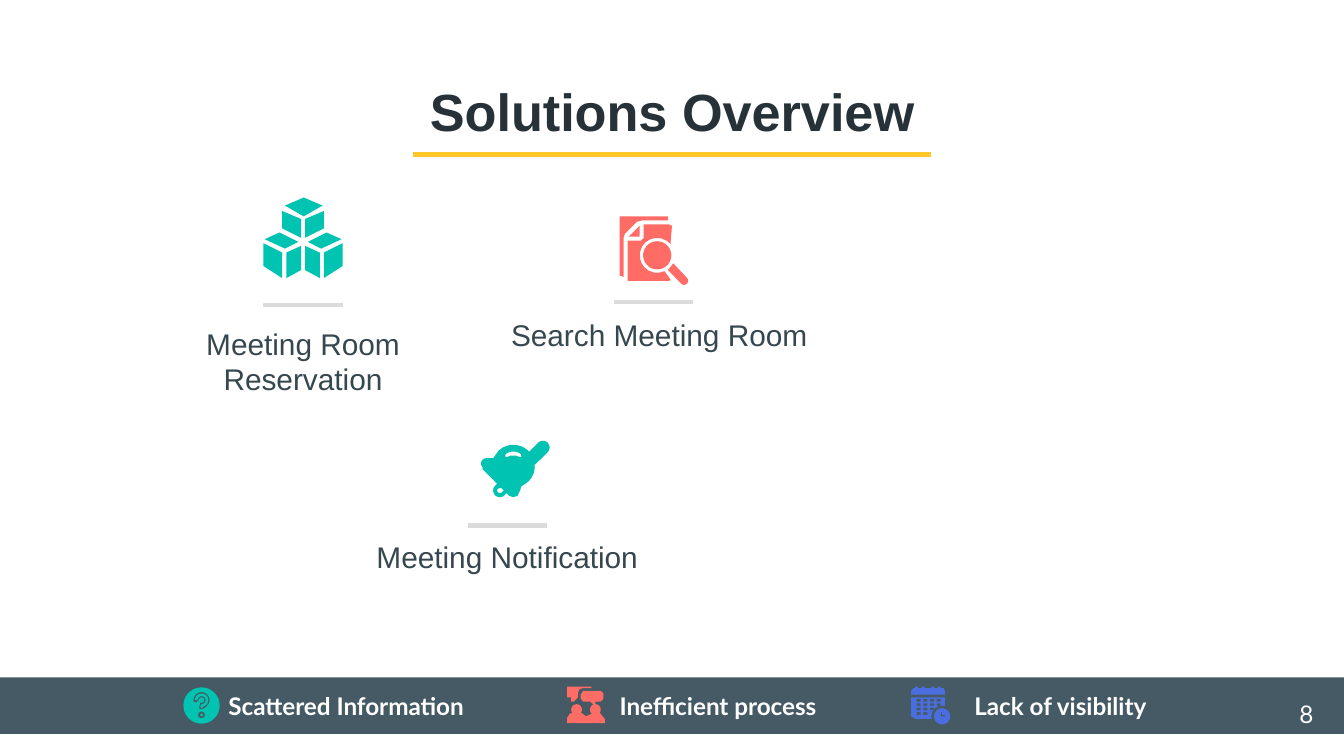
from math import cos, radians, sin

from lxml.etree import SubElement
from pptx import Presentation
from pptx.dml.color import RGBColor
from pptx.enum.shapes import MSO_CONNECTOR, MSO_SHAPE
from pptx.enum.text import MSO_ANCHOR, PP_ALIGN
from pptx.oxml.ns import qn
from pptx.util import Inches, Pt

INK = RGBColor(0x26, 0x32, 0x38)
SLATE = RGBColor(0x37, 0x47, 0x4F)
BAR = RGBColor(0x45, 0x5A, 0x64)
YELLOW = RGBColor(0xFF, 0xC7, 0x27)
GREY = RGBColor(0xDB, 0xDB, 0xDB)
TEAL = RGBColor(0x00, 0xC3, 0xB1)
CORAL = RGBColor(0xFF, 0x6B, 0x65)
BLUE = RGBColor(0x4A, 0x6E, 0xE0)
WHITE = RGBColor(0xFF, 0xFF, 0xFF)

WIDTH = 10
HEIGHT = WIDTH * 9 / 16
TITLE = "Solutions Overview"
PAGE_NUMBER = "8"
RULE_LENGTH = 0.59
# label, label box (left, top, width, height), left and height of the rule
SOLUTIONS = [
    ("Meeting Room Reservation", (1.14, 2.32, 2.23, 0.73), (1.96, 2.27)),
    ("Search Meeting Room", (3.7, 2.26, 2.41, 0.73), (4.57, 2.25)),
    ("Meeting Notification", (2.66, 3.91, 2.23, 0.63), (3.48, 3.91)),
]
# footer label and its left edge
PROBLEMS = [("Scattered Information", 1.7), ("Inefficient process", 4.61), ("Lack of visibility", 7.25)]


def arc(cx, cy, radius, start, end, steps=14):
    """Points along an arc; degrees grow clockwise from three o'clock."""
    angles = [radians(start + (end - start) * i / steps) for i in range(steps + 1)]
    return [(cx + radius * cos(a), cy + radius * sin(a)) for a in angles]


def circle(cx, cy, diameter):
    return arc(cx, cy, diameter / 2, 0, 360, 36)[:-1]


def box(left, top, width, height):
    return [(left, top), (left + width, top), (left + width, top + height), (left, top + height)]


# An icon is a list of shapes, a shape a list of contours: the outline, then its holes.
def cubes():
    top = [(2.12, 1.53), (2.26, 1.47), (2.4, 1.53), (2.26, 1.61)]
    left_half = [
        [(2.1, 1.57), (2.1, 1.7), (2.24, 1.77), (2.24, 1.63)],
        [(2.08, 1.73), (1.97, 1.78), (2.12, 1.85), (2.22, 1.8)],
        [(1.96, 1.81), (1.96, 1.98), (2.1, 2.07), (2.1, 1.88)],
        [(2.24, 1.83), (2.13, 1.88), (2.13, 2.07), (2.24, 2.01)],
    ]
    right_half = [[(4.51 - x, y) for x, y in face] for face in left_half]
    return [[face] for face in [top] + left_half + right_half]


def document_search():
    back_page = [(4.61, 1.61), (4.97, 1.61), (4.97, 1.64), (4.78, 1.64), (4.74, 1.65),
                 (4.65, 1.74), (4.64, 1.77), (4.64, 2.06), (4.61, 2.05)]
    fold = [(4.76, 1.68), (4.68, 1.76), (4.76, 1.76)]
    front_page = [(4.79, 1.67), (4.79, 1.77), (4.77, 1.79), (4.67, 1.79), (4.67, 2.09),
                  (4.98, 2.09), (4.99, 2.08), *arc(4.89, 1.9, 0.13, 65, 320),
                  (5, 1.68), (4.98, 1.67)]
    handle = [(5.01, 1.96), (4.97, 2.01), *arc(5.09, 2.09, 0.03, 135, -45)]
    return [[back_page], [fold], [circle(4.89, 1.9, 0.21)], [front_page], [handle]]


def bell():
    body = [*arc(3.82, 3.47, 0.16, -132, 45), (3.88, 3.62), (3.87, 3.65), (3.85, 3.69),
            (3.82, 3.7), (3.79, 3.69), (3.77, 3.67), *arc(3.72, 3.65, 0.05, 30, 220),
            (3.7, 3.6), (3.59, 3.49), *arc(3.62, 3.45, 0.04, 135, 270), (3.67, 3.41)]
    shine = [*arc(3.82, 3.45, 0.09, 230, 310), (3.88, 3.4), (3.86, 3.4),
             (3.84, 3.39), (3.8, 3.39), (3.78, 3.4), (3.76, 3.4)]
    ring = [(3.73, 3.63), (3.75, 3.65), *arc(3.72, 3.65, 0.02, 45, 225)]
    handle = [(3.91, 3.39), (3.95, 3.41), (3.98, 3.46), *arc(4.04, 3.33, 0.05, 45, -135)]
    return [[body, shine, ring], [handle]]


def discussion():
    back_bubble = [(4.22, 5.11), (4.4, 5.11), (4.4, 5.12), (4.34, 5.12), (4.31, 5.13),
                   (4.3, 5.16), (4.3, 5.19), (4.27, 5.22), (4.25, 5.22), (4.25, 5.19),
                   (4.22, 5.19)]
    people = [(4.34, 5.14), (4.32, 5.17), (4.32, 5.2), (4.34, 5.22), (4.39, 5.22),
              *arc(4.43, 5.28, 0.04, 250, 130), (4.36, 5.33), (4.32, 5.3),
              *arc(4.29, 5.28, 0.04, 40, -220), (4.24, 5.31), (4.22, 5.34),
              (4.22, 5.38), (4.5, 5.38), (4.5, 5.35), (4.46, 5.3),
              *arc(4.43, 5.28, 0.04, 40, -90), (4.43, 5.22), (4.47, 5.22),
              (4.49, 5.2), (4.49, 5.16), (4.47, 5.14)]
    return [[back_bubble], [people]]


def calendar():
    hands = [(7, 5.3), (7.01, 5.3), (7.01, 5.32), (7.03, 5.32), (7.03, 5.33), (7, 5.33)]
    header = [(6.78, 5.17), (6.78, 5.14), (6.8, 5.12)]
    for x in (6.81, 6.86, 6.93, 6.98):
        header += [(x, 5.12), (x, 5.11), (x + 0.02, 5.11), (x + 0.02, 5.12)]
    header += [(7.02, 5.12), (7.03, 5.14), (7.03, 5.17)]
    page = [(6.78, 5.19), (6.78, 5.33), (6.81, 5.35), (6.94, 5.35),
            *arc(7.01, 5.33, 0.08, 165, 285), (7.03, 5.19)]
    days = [box(6.82 + 0.05 * column, 5.2 + 0.1 / 3 * row, 0.03, 0.02)
            for row, count in enumerate((4, 4, 3, 2)) for column in range(count)]
    return [[circle(7.01, 5.33, 0.12), hands], [header], [page, *days]]


def question():
    mark = [*arc(1.5, 5.21, 0.05, 180, 400), (1.51, 5.26), (1.5, 5.27), (1.49, 5.26),
            (1.5, 5.24), *arc(1.5, 5.21, 0.03, 60, -180)]
    mark_gap = [*arc(1.5, 5.21, 0.06, 180, 415), (1.52, 5.27), (1.5, 5.28), (1.48, 5.27),
                (1.49, 5.23), *arc(1.5, 5.21, 0.02, 60, -180), (1.46, 5.23), (1.44, 5.22)]
    disc = [circle(1.5, 5.25, 0.27), mark_gap, circle(1.5, 5.32, 0.05)]
    return [[circle(1.5, 5.32, 0.02)], [mark], disc]


ICONS = [(cubes(), TEAL), (document_search(), CORAL), (bell(), TEAL),
         (discussion(), CORAL), (calendar(), BLUE), (question(), TEAL)]


def style(paragraph, size, color, font, bold=False, align=PP_ALIGN.CENTER):
    paragraph.alignment = align
    for run in paragraph.runs:
        run.font.size, run.font.name, run.font.bold = Pt(size), font, bold
        run.font.color.rgb = color


def add_text(slide, text, bounds, *look, **options):
    frame = slide.shapes.add_textbox(*map(Inches, bounds)).text_frame
    frame.word_wrap = True
    frame.margin_left = frame.margin_right = Inches(0.1)
    frame.margin_top = frame.margin_bottom = Inches(0.1)
    frame.text = text
    style(frame.paragraphs[0], *look, **options)
    return frame


def add_rule(slide, left, y, length, color):
    rule = slide.shapes.add_connector(
        MSO_CONNECTOR.STRAIGHT, *map(Inches, (left, y, left + length, y)))
    rule.line.color.rgb, rule.line.width = color, Pt(2.25)
    SubElement(rule._element.spPr, qn("a:effectLst"))


def paint(shape, color):
    shape.shadow.inherit = False
    shape.fill.solid()
    shape.fill.fore_color.rgb = color
    shape.line.fill.background()


def add_outline(slide, contours, color):
    contours = [[(Inches(x), Inches(y)) for x, y in contour] for contour in contours]
    builder = slide.shapes.build_freeform(*contours[0][0], scale=1.0)
    builder.add_line_segments(contours[0][1:], close=True)
    for hole in contours[1:]:
        builder.move_to(*hole[0])
        builder.add_line_segments(hole[1:], close=True)
    paint(builder.convert_to_shape(), color)


def add_footer(slide):
    bar = slide.shapes.add_shape(MSO_SHAPE.RECTANGLE, *map(Inches, (0, 5.04, WIDTH, 0.42)))
    paint(bar, BAR)
    frame = bar.text_frame
    frame.vertical_anchor = MSO_ANCHOR.MIDDLE
    first_left = PROBLEMS[0][1]
    frame.margin_left = Inches(first_left)
    frame.text = "\t".join(label for label, _ in PROBLEMS)
    paragraph = frame.paragraphs[0]
    tabs = SubElement(paragraph._p.get_or_add_pPr(), qn("a:tabLst"))
    for _, left in PROBLEMS[1:]:
        SubElement(tabs, qn("a:tab"), pos=str(Inches(left - first_left)), algn="l")
    style(paragraph, 13, WHITE, "Lato", bold=True, align=PP_ALIGN.LEFT)


def main():
    deck = Presentation()
    deck.slide_width, deck.slide_height = Inches(WIDTH), Inches(HEIGHT)
    slide = deck.slides.add_slide(deck.slide_layouts[6])
    add_footer(slide)
    add_text(slide, TITLE, (0.34, 0.49, 9.32, 0.63), 28, INK, "Arial", bold=True)
    add_text(slide, PAGE_NUMBER, (9.27, 5.1, 0.6, 0.43), 13, WHITE, "Lato", align=PP_ALIGN.RIGHT)
    add_rule(slide, 3.07, 1.15, 3.86, YELLOW)
    for label, bounds, (rule_left, rule_y) in SOLUTIONS:
        frame = add_text(slide, label, bounds, 16, SLATE, "Arial")
        frame.paragraphs[0].space_after = Pt(16)
        add_rule(slide, rule_left, rule_y, RULE_LENGTH, GREY)
    for icon, color in ICONS:
        for contours in icon:
            add_outline(slide, contours, color)
    deck.save("out.pptx")


if __name__ == "__main__":
    main()
